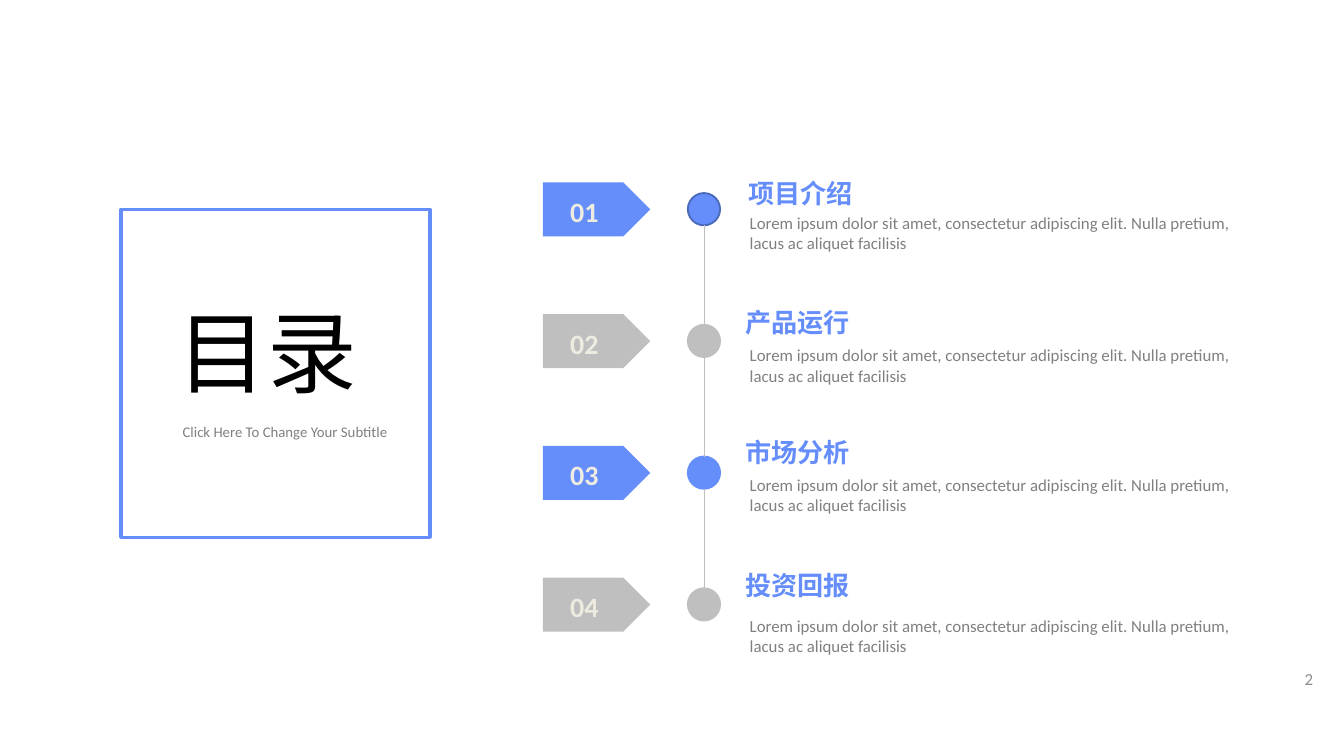
from lxml.etree import SubElement
from pptx import Presentation
from pptx.dml.color import RGBColor
from pptx.enum.shapes import MSO_CONNECTOR, MSO_SHAPE
from pptx.enum.text import MSO_ANCHOR, MSO_AUTO_SIZE, PP_ALIGN
from pptx.oxml.ns import qn
from pptx.util import Cm, Pt

BLUE, DARK_BLUE, SILVER = "658EFB", "4B69BA", "BFBFBF"
GRAY, CREAM = "808080", "EEECE1"
LATIN, CHINESE = "Calibri", "Noto Sans CJK SC"
LOREM = ("Lorem ipsum dolor sit amet, consectetur adipiscing elit. "
         "Nulla pretium, lacus ac aliquet facilisis")
ROW_STEP = 2.49
DOT_LEFT, DOT_TOP, DOT_SIZE = 2.74, 0.2, 0.61

# Number, heading, accent, dot outline, heading left and top, description top
# (positions in cm, relative to the row)
ENTRIES = [
    ("01", "项目介绍", BLUE, DARK_BLUE, 3.63, -0.22, 0.44),
    ("02", "产品运行", SILVER, SILVER, 3.58, -0.28, 0.46),
    ("03", "市场分析", BLUE, BLUE, 3.58, -0.3, 0.41),
    ("04", "投资回报", SILVER, SILVER, 3.58, -0.28, 0.59),
]


def color(value):
    return RGBColor.from_string(value)


def write(shape, text, size, fill, font=LATIN, bold=False,
          align=PP_ALIGN.LEFT, anchor=MSO_ANCHOR.TOP, wrap=True):
    frame = shape.text_frame
    frame.auto_size = MSO_AUTO_SIZE.NONE
    frame.word_wrap = wrap
    frame.vertical_anchor = anchor
    paragraph = frame.paragraphs[0]
    paragraph.alignment = align
    run = paragraph.add_run()
    run.text = text
    run.font.size = Pt(size)
    run.font.bold = bold
    run.font.name = font
    run.font.color.rgb = color(fill)
    SubElement(run.font._element, qn("a:ea")).set("typeface", font)
    return paragraph


def add_text(slide, left, top, width, height, text, size, fill, **style):
    box = slide.shapes.add_textbox(Cm(left), Cm(top), Cm(width), Cm(height))
    write(box, text, size, fill, **style)


def add_shape(slide, kind, left, top, width, height, fill=None, line=None, weight=1):
    shape = slide.shapes.add_shape(kind, Cm(left), Cm(top), Cm(width), Cm(height))
    shape.shadow.inherit = False
    if fill:
        shape.fill.solid()
        shape.fill.fore_color.rgb = color(fill)
    else:
        shape.fill.background()
    if line:
        shape.line.color.rgb = color(line)
        shape.line.width = Pt(weight)
    else:
        shape.line.fill.background()


def add_title_panel(slide, left, top, width, height):
    # Frame
    add_shape(slide, MSO_SHAPE.RECTANGLE, left, top, width, height,
              line=BLUE, weight=1.75)
    # Title
    title = slide.shapes.title
    title.left, title.top = Cm(left + 0.81), Cm(top + 1.96)
    title.width, title.height = Cm(6.05), Cm(1.68)
    paragraph = write(title, "目录", 48, "000000", font=CHINESE,
                      anchor=MSO_ANCHOR.MIDDLE)
    paragraph.line_spacing = 0.9
    # Subtitle
    add_text(slide, left - 1.2, top + 3.81, 8.59, 0.76,
             "Click Here To Change Your Subtitle", 7.9, GRAY,
             align=PP_ALIGN.CENTER, anchor=MSO_ANCHOR.MIDDLE)


def add_entry(slide, left, top, entry):
    number, heading, accent, outline, heading_left, heading_top, text_top = entry
    # Numbered tag
    add_shape(slide, MSO_SHAPE.PENTAGON, left, top, 2.03, 1.02, fill=accent)
    add_text(slide, left + 0.25, top + 0.1, 1.07, 0.89, number, 15, CREAM,
             bold=True, align=PP_ALIGN.CENTER, wrap=False)
    # Timeline dot
    add_shape(slide, MSO_SHAPE.OVAL, left + DOT_LEFT, top + DOT_TOP,
              DOT_SIZE, DOT_SIZE, fill=accent, line=outline)
    # Heading and description
    add_text(slide, left + heading_left, top + heading_top, 2.51, 0.86,
             heading, 14, BLUE, font=CHINESE, bold=True, wrap=False)
    add_text(slide, left + 3.66, top + text_top, 9.63, 1.02, LOREM, 9, GRAY)


def add_timeline(slide, left, top):
    for index, entry in enumerate(ENTRIES):
        add_entry(slide, left, top + index * ROW_STEP, entry)
    # Lines between neighbouring dots
    center = Cm(left + DOT_LEFT + DOT_SIZE / 2)
    for index in range(len(ENTRIES) - 1):
        dot_top = top + DOT_TOP + index * ROW_STEP
        line = slide.shapes.add_connector(
            MSO_CONNECTOR.STRAIGHT, center, Cm(dot_top + DOT_SIZE),
            center, Cm(dot_top + ROW_STEP))
        line.line.color.rgb = color(SILVER)
        line.line.width = Pt(0.5)
        SubElement(line._element.spPr, qn("a:effectLst"))


def main():
    presentation = Presentation()
    presentation.slide_width, presentation.slide_height = Cm(25.4), Cm(14.29)
    slide = presentation.slides.add_slide(presentation.slide_layouts[5])
    add_title_panel(slide, 2.29, 3.96, 5.84, 6.2)
    add_timeline(slide, 10.26, 3.45)
    # Page number
    add_text(slide, 23.8, 12.45, 1.27, 0.76, "2", 9, "8C8C8C",
             align=PP_ALIGN.RIGHT, anchor=MSO_ANCHOR.MIDDLE)
    presentation.save("out.pptx")


if __name__ == "__main__":
    main()
